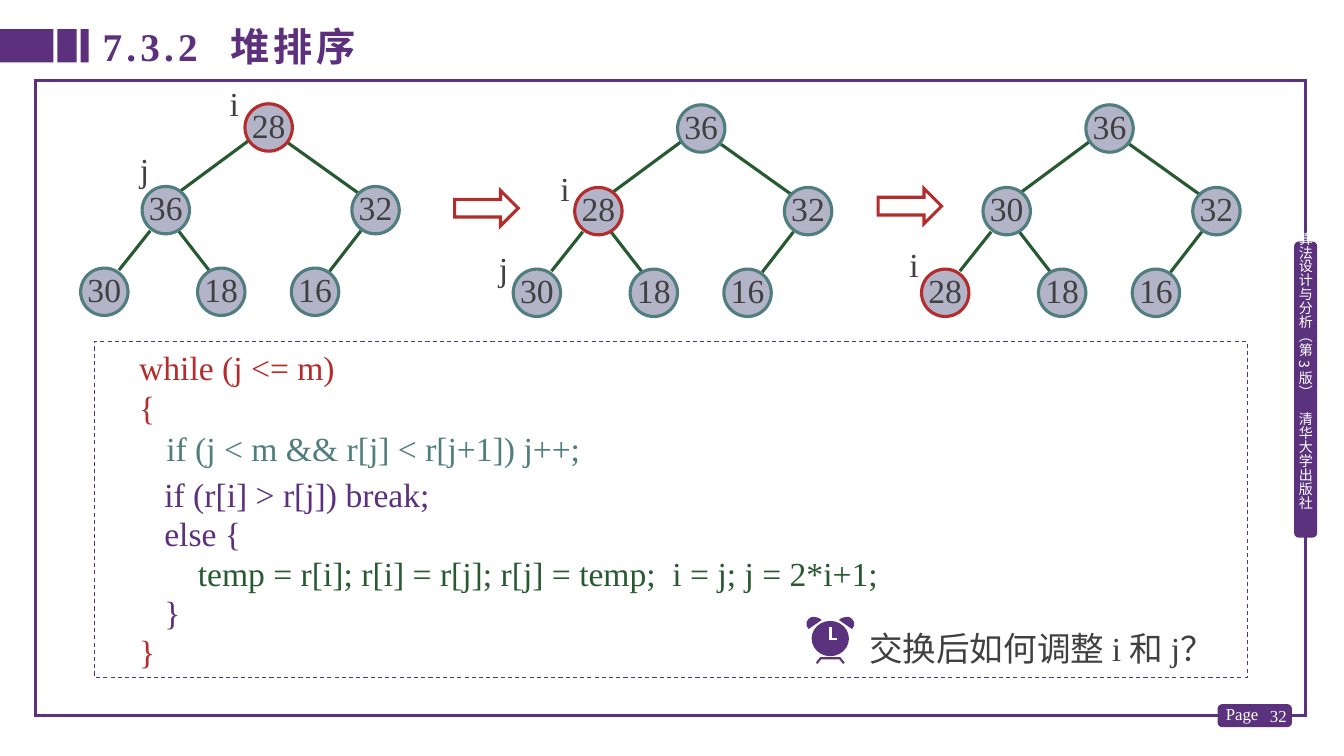
"""Build the heap sort slide: three sift-down trees, the loop code and a question."""
from lxml import etree
from pptx import Presentation
from pptx.dml.color import RGBColor
from pptx.enum.dml import MSO_LINE
from pptx.enum.shapes import MSO_CONNECTOR, MSO_SHAPE
from pptx.enum.text import MSO_ANCHOR, PP_ALIGN
from pptx.oxml.ns import qn
from pptx.util import Inches, Pt

RECT, ROUND = MSO_SHAPE.RECTANGLE, MSO_SHAPE.ROUNDED_RECTANGLE
OVAL, ARROW = MSO_SHAPE.OVAL, MSO_SHAPE.RIGHT_ARROW
STRAIGHT, DASH = MSO_CONNECTOR.STRAIGHT, MSO_LINE.DASH
TOP, MIDDLE = MSO_ANCHOR.TOP, MSO_ANCHOR.MIDDLE
LEFT, CENTER, RIGHT = PP_ALIGN.LEFT, PP_ALIGN.CENTER, PP_ALIGN.RIGHT

PURPLE = RGBColor(0x5A, 0x32, 0x7D)
VIOLET = RGBColor(0x5C, 0x30, 0x7D)
RED = RGBColor(0xB4, 0x2D, 0x2D)
TEAL = RGBColor(0x50, 0x7D, 0x7D)
GREEN = RGBColor(0x28, 0x5A, 0x32)
LILAC = RGBColor(0xB4, 0xB4, 0xC8)
DARK = RGBColor(0x40, 0x40, 0x40)
WHITE = RGBColor(0xFF, 0xFF, 0xFF)
SERIF, CJK = "Times New Roman", "Noto Sans CJK SC"

TITLE = [("7.3.2", 3), (" ", 13), ("堆排序", 3)]
BOOK = [("算法设计与分析（第 3 版）", 0), (" ", 7), ("清华大学出版社", 0)]
QUESTION = "交换后如何调整 i 和 j？"
TITLE_BARS = [(0, 0.53), (0.57, 0.19), (0.8, 0.08)]

CODE = [
    ("while (j <= m)", RED, 0, 0),
    ("{", RED, 1, 0),
    ("   if (j < m && r[j] < r[j+1]) j++;", TEAL, 1, 0.02),
    ("   if (r[i] > r[j]) break;", VIOLET, 5, 0),
    ("   else {", VIOLET, 0, 0),
    ("       temp = r[i]; r[i] = r[j]; r[j] = temp;  i = j; j = 2*i+1;", GREEN, 0, 0),
    ("   }", VIOLET, 0, 0),
    ("}", RED, 0, 0),
]

TREES = [
    {"root": (2.43, 1.03), "keys": [28, 36, 32, 30, 18, 16], "current": 0},
    {"root": (6.72, 1.04), "keys": [36, 28, 32, 30, 18, 16], "current": 1},
    {"root": (10.77, 1.04), "keys": [36, 30, 32, 28, 18, 16], "current": 3},
]
NODE_SIZE = 0.47
NODE_OFFSETS = [(0, 0), (-1.02, 0.82), (1.06, 0.82), (-1.63, 1.63), (-0.47, 1.63), (0.46, 1.63)]
EDGE_OFFSETS = [
    (0.03, 0.37, -0.66, 0.88),
    (0.43, 0.39, 1.13, 0.89),
    (-0.94, 1.26, -1.25, 1.65),
    (-0.66, 1.26, -0.35, 1.66),
    (1.15, 1.26, 0.84, 1.66),
]
INDEX_LABELS = [("i", 2.18, 0.77), ("j", 1.29, 1.43), ("i", 5.46, 1.62), ("j", 4.85, 2.41), ("i", 8.92, 2.37)]
STEP_ARROWS = [(4.51, 1.89), (8.71, 1.87)]

CLOCK_MIRROR = 16.47
CLOCK_BELL = [(8.02, 6.24), (8, 6.21), (8, 6.17), (8.02, 6.14), (8.05, 6.12), (8.08, 6.12), (8.12, 6.13), (8.15, 6.15)]
CLOCK_HANDS = [(8.24, 6.22), (8.24, 6.34), (8.3, 6.34)]
CLOCK_FEET = [(8.1, 6.58), (8.14, 6.53), (8.33, 6.53), (8.37, 6.58)]


def paint(shape, fill=None, line=None, width=2.25):
    shape.shadow.inherit = False
    for target, color in ((shape.fill, fill), (shape.line.fill, line)):
        if color is None:
            target.background()
        else:
            target.solid()
            target.fore_color.rgb = color
    if line is not None:
        shape.line.width = Pt(width)
        etree.SubElement(shape.line._get_or_add_ln(), qn("a:miter")).set("lim", "800000")


def add_block(page, kind, place, **colors):
    shape = page.shapes.add_shape(kind, *map(Inches, place))
    paint(shape, **colors)
    return shape


def add_outline(page, points, close, **colors):
    spots = [(Inches(x), Inches(y)) for x, y in points]
    builder = page.shapes.build_freeform(*spots[0])
    builder.add_line_segments(spots[1:], close=close)
    paint(builder.convert_to_shape(), **colors)


def add_edge(page, ends):
    edge = page.shapes.add_connector(STRAIGHT, *map(Inches, ends))
    edge.line.color.rgb = GREEN
    edge.line.width = Pt(2.25)
    etree.SubElement(edge._element.spPr, qn("a:effectLst"))


def set_frame(shape, insets=(0.1, 0.05, 0.1, 0.05), anchor=TOP, wrap=True):
    frame = shape.text_frame
    sides = ("margin_left", "margin_top", "margin_right", "margin_bottom")
    formats = dict(zip(sides, map(Inches, insets)), vertical_anchor=anchor, word_wrap=wrap)
    for name, value in formats.items():
        setattr(frame, name, value)
    return frame


def write(para, spans, size=24, color=DARK, font=SERIF, bold=False, align=LEFT, spacing=None):
    para.alignment = align
    if spacing:
        para.line_spacing = Pt(spacing)
    for text, tracking in spans:
        span = para.add_run()
        span.text = text
        for name, value in {"size": Pt(size), "bold": bold, "name": font}.items():
            setattr(span.font, name, value)
        span.font.color.rgb = color
        marks = span._r.get_or_add_rPr()
        etree.SubElement(marks, qn("a:ea")).set("typeface", CJK)
        if tracking:
            marks.set("spc", str(tracking * 100))


def add_text(page, place, spans, insets=(0.1, 0.05, 0.1, 0.05), anchor=TOP, wrap=True, **style):
    box = page.shapes.add_textbox(*map(Inches, place))
    frame = set_frame(box, insets, anchor, wrap)
    write(frame.paragraphs[0], spans, **style)
    return frame


def add_page_furniture(page):
    add_block(page, RECT, (0.35, 0.8, 12.6, 6.3), line=PURPLE)
    add_block(page, ROUND, (12.09, 7, 0.71, 0.2), fill=PURPLE, line=VIOLET, width=2)
    add_text(page, (12.45, 6.9, 0.41, 0.4), [("32", 0)], anchor=MIDDLE, size=12, color=WHITE, align=RIGHT)
    add_text(page, (12.06, 6.93, 0.53, 0.31), [("Page", 0)], wrap=False, size=12, color=WHITE)
    for left, width in TITLE_BARS:
        add_block(page, RECT, (left, 0.29, width, 0.33), fill=VIOLET)
    add_block(page, ROUND, (12.85, 2.41, 0.2, 2.91), fill=PURPLE, line=VIOLET, width=2)
    book = add_text(page, (12.86, 2.3, 0.17, 3.14), BOOK, insets=(0, 0, 0, 0), size=10, color=WHITE, font=CJK)
    book._txBody.bodyPr.set("vert", "eaVert")
    add_text(page, (0.92, 0.17, 8.65, 0.57), TITLE, anchor=MIDDLE, size=28, color=VIOLET, bold=True)


def add_code(page):
    panel = add_block(page, RECT, (0.94, 3.39, 11.43, 3.33), line=VIOLET, width=0.75)
    panel.line.dash_style = DASH
    frame = set_frame(panel, (0.44, 0.06, 0.1, 0.05))
    for number, (text, color, gap, indent) in enumerate(CODE):
        para = frame.add_paragraph() if number else frame.paragraphs[0]
        write(para, [(text, 0)], color=color, spacing=28)
        if gap:
            para.space_before = Pt(gap)
        if indent:
            para._p.get_or_add_pPr().set("marL", str(Inches(indent)))


def add_question(page):
    add_outline(page, CLOCK_FEET, False, line=PURPLE, width=1.5)
    add_outline(page, CLOCK_BELL, True, fill=PURPLE)
    add_outline(page, [(CLOCK_MIRROR - x, y) for x, y in CLOCK_BELL], True, fill=PURPLE)
    add_block(page, OVAL, (8.05, 6.16, 0.37, 0.35), fill=PURPLE)
    add_outline(page, CLOCK_HANDS, False, line=WHITE, width=2)
    add_text(page, (8.62, 6.07, 3.79, 0.5), [(QUESTION, 0)], insets=(0, 0, 0, 0), spacing=40)


def add_tree(page, tree):
    left, top = tree["root"]
    for x1, y1, x2, y2 in EDGE_OFFSETS:
        add_edge(page, (left + x1, top + y1, left + x2, top + y2))
    for number, (key, (dx, dy)) in enumerate(zip(tree["keys"], NODE_OFFSETS)):
        ring = RED if number == tree["current"] else TEAL
        node = add_block(page, OVAL, (left + dx, top + dy, NODE_SIZE, NODE_SIZE), fill=LILAC, line=ring)
        frame = set_frame(node, (0, 0, 0, 0), MIDDLE, wrap=False)
        write(frame.paragraphs[0], [(str(key), 0)], align=CENTER, spacing=25)


def main():
    deck = Presentation()
    deck.slide_width, deck.slide_height = Inches(13.33), Inches(7.5)
    page = deck.slides.add_slide(deck.slide_layouts[6])
    add_page_furniture(page)
    add_code(page)
    add_question(page)
    for tree in TREES:
        add_tree(page, tree)
    for left, top in STEP_ARROWS:
        add_block(page, ARROW, (left, top, 0.63, 0.35), line=RED)
    for text, left, top in INDEX_LABELS:
        add_text(page, (left, top, 0.4, 0.5), [(text, 0)])
    deck.save("out.pptx")


if __name__ == "__main__":
    main()
